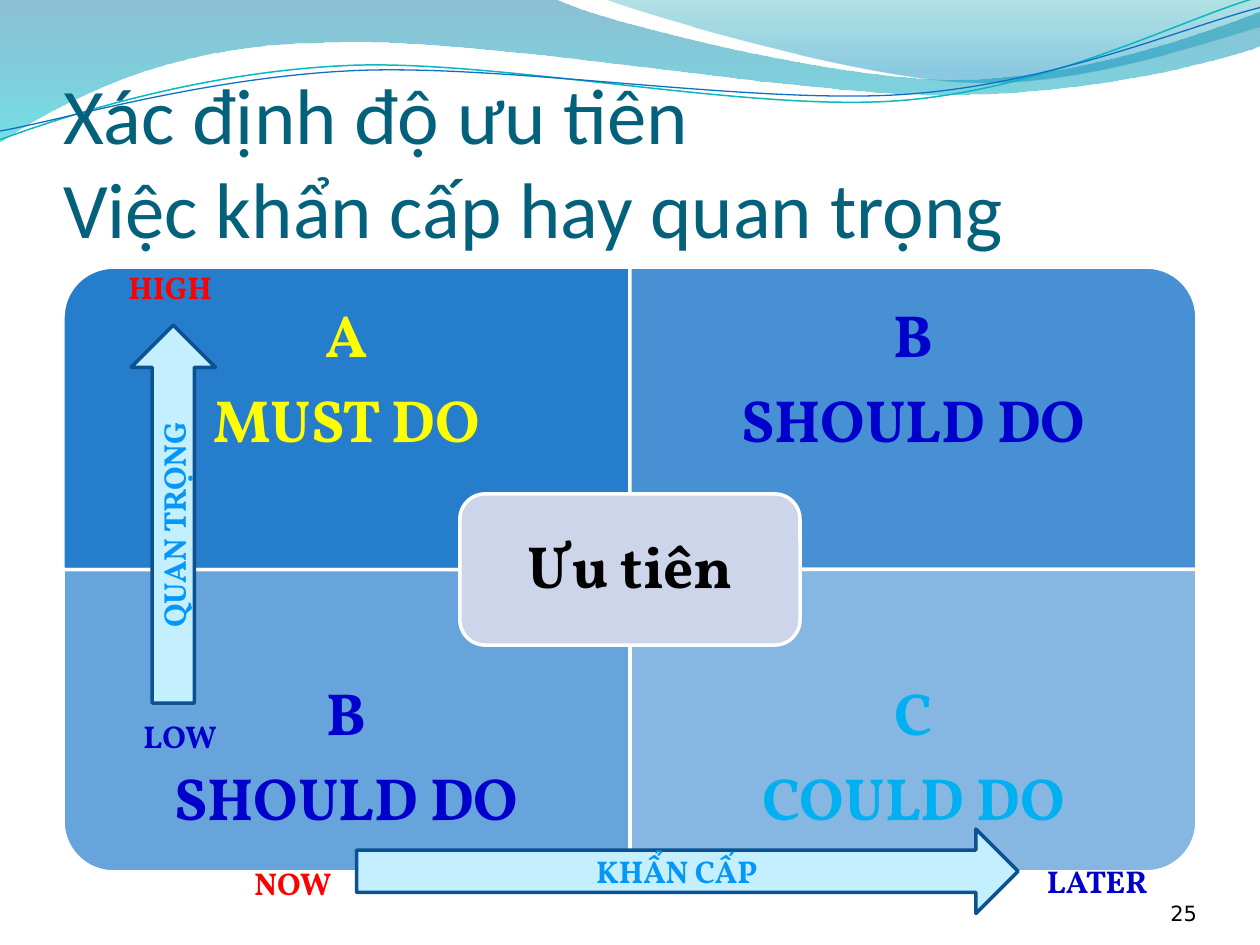
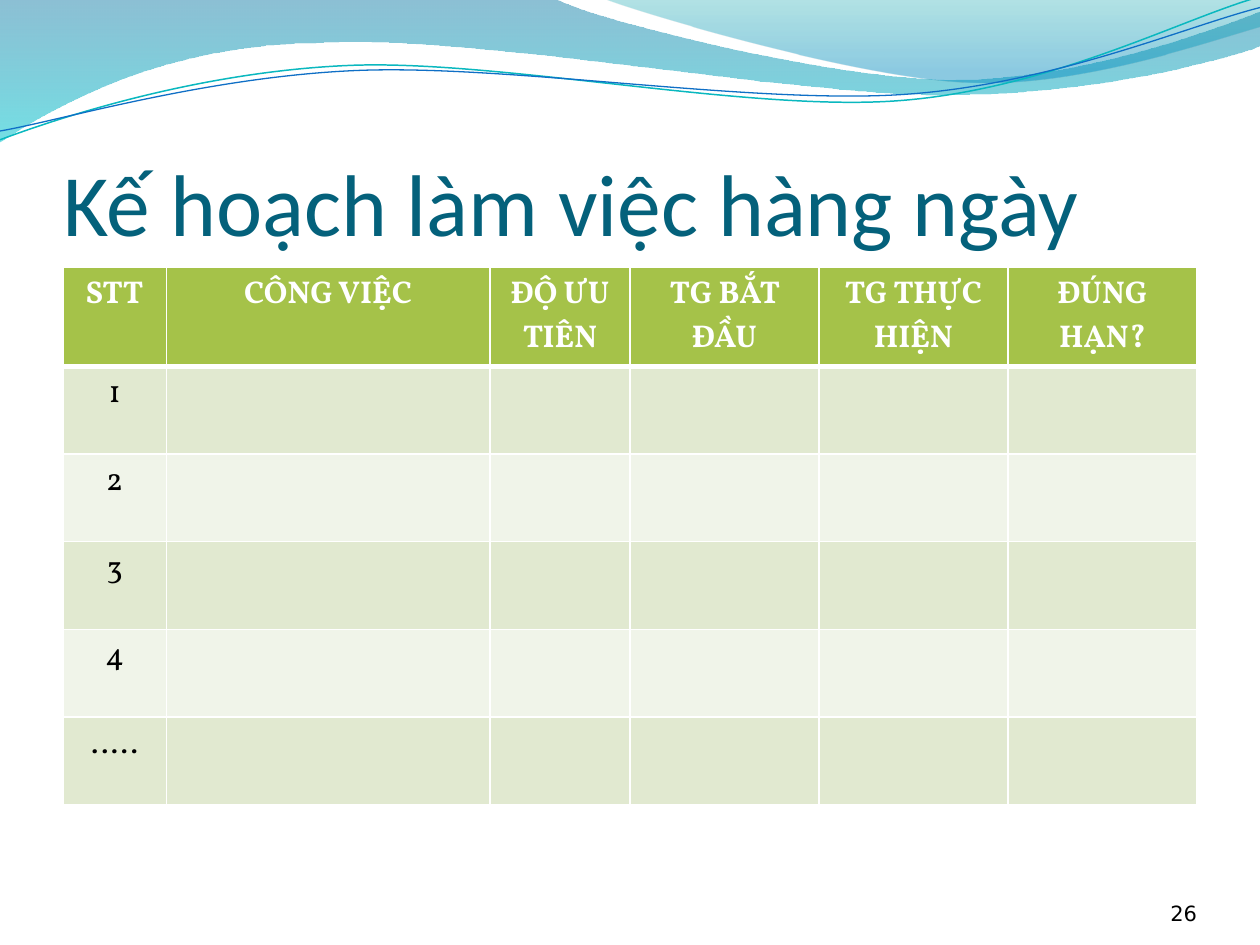
from lxml.etree import SubElement
from pptx import Presentation
from pptx.dml.color import RGBColor
from pptx.enum.shapes import MSO_SHAPE
from pptx.enum.text import MSO_ANCHOR, MSO_AUTO_SIZE, PP_ALIGN
from pptx.oxml.ns import qn
from pptx.util import Inches, Pt

SERIF = "Vollkorn"
WHITE, BLACK, RED, NAVY = "FFFFFF", "000000", "FF0000", "0000CC"
BLUE, TITLE_TEAL, SKY, YELLOW = "0F6FC6", "04617B", "00B0F0", "FFFF00"
ARROW_FILL, ARROW_LINE, ARROW_TEXT = "C4EFFF", "0B5292", "0497F9"
HEADER_GREEN, BANDS = "A5C249", ("E1E9D0", "F0F4E9")
CONTENT_BOX = (0.5, 2.12, 9, 4.8)

LEFT_WAVE = [
    [(0, -0.01)], [(4.4, -0.01)],
    [(4.76, 0.17), (6.64, 0.63), (7.58, 0.63)],
    [(8.53, 0.63), (9.58, 0.26), (10, 0.09)], [(10.01, 0.36)],
    [(9.83, 0.44), (8.7, 0.76), (7.46, 0.75)],
    [(6.22, 0.75), (3.82, 0.28), (2.57, 0.34)],
    [(1.29, 0.35), (0.46, 0.83), (-0.01, 1.13)], [(0, -0.01)],
]
RIGHT_WAVE = [
    [(4.79, -0.01)],
    [(5.09, 0.11), (6.82, 0.62), (7.69, 0.65)],
    [(8.56, 0.69), (9.61, 0.32), (10, 0.21)], [(10, 0)], [(4.79, -0.01)],
]
TEAL_STRAND = [
    [(0, 1.11)],
    [(0.48, 0.93), (1.58, 0.57), (2.77, 0.52)],
    [(3.95, 0.47), (5.93, 0.89), (7.13, 0.8)],
    [(8.33, 0.71), (9.38, 0.15), (9.98, -0.02)],
]
BLUE_STRAND = [
    [(0, 1.04)],
    [(0.47, 0.96), (1.64, 0.61), (2.83, 0.56)],
    [(4.03, 0.51), (5.97, 0.83), (7.17, 0.75)],
    [(8.36, 0.67), (9.41, 0.21), (10, 0.06)],
]
WAVES = [
    (LEFT_WAVE, [(0, "0074A1", 45), (1, "00C6CF", 55)]),
    (RIGHT_WAVE, [(0, "00A1A9", 30), (0.8, "008BBF", 45)]),
]
STRANDS = [(TEAL_STRAND, "0AB8BF", 0.85), (BLUE_STRAND, BLUE, 0.75)]


def rgb(colour):
    """Turn a hex string into a colour."""
    return RGBColor.from_string(colour)


def assign(target, values):
    """Set each named attribute of the target."""
    for name, value in values.items():
        setattr(target, name, value)


def set_opacity(colour_element, percent):
    """Make one colour element partly transparent."""
    SubElement(colour_element, qn("a:alpha"), val=str(percent * 1000))


def style_shape(shape, fill, line, width=2):
    """Give a shape a plain fill and outline without a shadow."""
    shape.shadow.inherit = False
    if fill:
        shape.fill.solid()
        shape.fill.fore_color.rgb = rgb(fill)
    else:
        shape.fill.background()
    shape.line.color.rgb = rgb(line)
    shape.line.width = Pt(width)


def add_span(para, text, size, colour, font, bold):
    """Add formatted text to a paragraph."""
    span = para.add_run()
    span.text = text
    assign(span.font, {"name": font, "size": Pt(size), "bold": bold})
    span.font.color.rgb = rgb(colour)


def write(frame, lines, size, colour, font=SERIF, bold=True, align=PP_ALIGN.LEFT,
          anchor=MSO_ANCHOR.TOP, insets=(0.1, 0.05, 0.1, 0.05), spacing=1.0, gap=0):
    """Fill a text frame with one paragraph per line."""
    sides = ("margin_left", "margin_top", "margin_right", "margin_bottom")
    assign(frame, {"word_wrap": True, "vertical_anchor": anchor,
                   **dict(zip(sides, map(Inches, insets)))})
    for index, line in enumerate(lines):
        para = frame.add_paragraph() if index else frame.paragraphs[0]
        assign(para, {"alignment": align, "line_spacing": spacing,
                      "space_before": Pt(gap if index else 0)})
        for row, part in enumerate(line.splitlines()):
            if row:
                para.add_line_break()
            add_span(para, part, size, colour, font, bold)


def add_text(page, box, lines, size, colour, **layout):
    """Add a text box."""
    frame = page.shapes.add_textbox(*map(Inches, box)).text_frame
    write(frame, lines, size, colour, **layout)


def add_outline(page, segments, close):
    """Add a freeform of straight segments and cubic curves."""
    start, *points = [tuple(map(Inches, point)) for segment in segments
                      for point in segment]
    builder = page.shapes.build_freeform(*start)
    builder.add_line_segments(points, close=close)
    outline = builder.convert_to_shape()
    corners = iter(list(outline.element.iter(qn("a:lnTo"))))
    for segment in segments[1:]:
        first, *others = [next(corners) for _ in segment]
        if others:
            first.tag = qn("a:cubicBezTo")
        for other in others:
            first.append(other[0])
            other.getparent().remove(other)
    return outline


def add_waves(page):
    """Draw the wave band and move it to the layout behind the page."""
    band = []
    for segments, stops in WAVES:
        wave = add_outline(page, segments, True)
        wave.shadow.inherit = False
        wave.fill.gradient()
        wave.fill.gradient_angle = 270
        for stop, (position, colour, _) in zip(wave.fill.gradient_stops, stops):
            stop.position = position
            stop.color.rgb = rgb(colour)
        for element, stop in zip(wave.element.iter(qn("a:srgbClr")), stops):
            set_opacity(element, stop[2])
        wave.line.fill.background()
        band.append(wave)
    for segments, colour, width in STRANDS:
        strand = add_outline(page, segments, False)
        style_shape(strand, None, colour, width)
        band.append(strand)
    for shape in band:
        page.slide_layout.shapes.element.append(shape.element)


def add_page(deck, title_text, title_size, number):
    """Add a page with title and page number."""
    page = deck.slides.add_slide(deck.slide_layouts[5])
    title = page.shapes.title
    assign(title, dict(zip(("left", "top", "width", "height"),
                           map(Inches, (0.5, 0.77, 9, 1.25)))))
    frame = title.text_frame
    frame.auto_size = MSO_AUTO_SIZE.NONE
    write(frame, [title_text], title_size, TITLE_TEAL, font="Calibri", bold=False,
          anchor=MSO_ANCHOR.BOTTOM, insets=(0, 0.05, 0, 0))
    add_text(page, (8.67, 6.95, 0.83, 0.4), [number], 12, BLACK, font="DejaVu Sans",
             bold=False, align=PP_ALIGN.RIGHT, anchor=MSO_ANCHOR.BOTTOM,
             insets=(0, 0, 0, 0))
    return page


def add_turned(page, kind, box, turn):
    """Add a shape that covers the box after being turned."""
    left, top, width, height = box
    across, down = (height, width) if turn % 180 else (width, height)
    place = (left + (width - across) / 2, top + (height - down) / 2, across, down)
    shape = page.shapes.add_shape(kind, *map(Inches, place))
    shape.rotation = turn
    return shape


def add_matrix(page, box):
    """Draw the four priority quadrants and the label in their centre."""
    left, top, width, height = box
    half_width, half_height = width / 2, height / 2
    centred = {"align": PP_ALIGN.CENTER, "anchor": MSO_ANCHOR.MIDDLE, "spacing": 0.9}
    quadrants = [
        ("A", "MUST DO", YELLOW, 90, 270), ("B", "SHOULD DO", NAVY, 77, 0),
        ("B", "SHOULD DO", NAVY, 63, 180), ("C", "COULD DO", SKY, 50, 90),
    ]
    for index, (letter, advice, colour, opacity, turn) in enumerate(quadrants):
        row, column = divmod(index, 2)
        x, y = left + column * half_width, top + row * half_height
        tile = add_turned(page, MSO_SHAPE.ROUND_1_RECTANGLE,
                          (x, y, half_width, half_height), turn)
        style_shape(tile, BLUE, WHITE)
        set_opacity(next(tile.element.iter(qn("a:srgbClr"))), opacity)
        add_text(page, (x, y + row * half_height / 4, half_width, half_height * 0.75),
                 [letter, advice], 34, colour, insets=(0.26,) * 4, gap=12, **centred)
    hub_width, hub_height, inset = width * 0.3, height / 4, 0.06
    x, y = left + (width - hub_width) / 2, top + (height - hub_height) / 2
    hub = add_turned(page, MSO_SHAPE.ROUNDED_RECTANGLE, (x, y, hub_width, hub_height), 0)
    style_shape(hub, "CCD5EA", WHITE)
    add_text(page, (x + inset, y + inset, hub_width - 2 * inset, hub_height - 2 * inset),
             ["Ưu tiên"], 34, BLACK, insets=(0.14,) * 4, **centred)


def add_axes(page, box):
    """Draw the importance and urgency arrows with their end labels."""
    left, top = box[:2]
    arrows = [("QUAN TRỌNG", (0.54, 0.46, 0.67, 3), 270),
              ("KHẨN CẤP", (2.33, 4.46, 5.25, 0.67), 0)]
    for label, (x, y, width, height), turn in arrows:
        arrow = add_turned(page, MSO_SHAPE.RIGHT_ARROW,
                           (left + x, top + y, width, height), turn)
        style_shape(arrow, ARROW_FILL, ARROW_LINE)
        write(arrow.text_frame, [label], 18, ARROW_TEXT,
              align=PP_ALIGN.CENTER, anchor=MSO_ANCHOR.MIDDLE)
    ends = [("NOW", 1.42, 4.69, 0.92, RED), ("LATER", 7.71, 4.67, 1.17, NAVY),
            ("LOW", 0.54, 3.52, 0.92, NAVY), ("HIGH", 0.42, -0.04, 0.92, RED)]
    for label, x, y, width, colour in ends:
        add_text(page, (left + x, top + y, width, 0.4), [label], 18, colour)


def set_borders(cell, widths):
    """Draw white borders of the given widths on a cell."""
    properties = cell._tc.get_or_add_tcPr()
    for side, width in widths.items():
        line = SubElement(properties, qn(f"a:ln{side}"), w=str(Pt(width)))
        SubElement(SubElement(line, qn("a:solidFill")), qn("a:srgbClr"), val=WHITE)


def add_plan(page, box):
    """Draw the daily plan table."""
    headings = ["STT", "CÔNG VIỆC", "ĐỘ ƯU TIÊN", "TG BẮT ĐẦU", "TG THỰC HIỆN",
                "ĐÚNG HẠN?"]
    rows = [headings] + [[number] + [""] * 5 for number in ("1", "2", "3", "4", "…..")]
    table = page.shapes.add_table(len(rows), len(headings), *map(Inches, box)).table
    assign(table, {"first_row": False, "horz_banding": False})
    table.rows[0].height = Inches(0.79)
    for column, width in zip(table.columns, (0.82, 2.57, 1.11, 1.5, 1.5, 1.5)):
        column.width = Inches(width)
    for row_index, row in enumerate(rows):
        is_header = row_index == 0
        for column_index, text in enumerate(row):
            cell = table.cell(row_index, column_index)
            set_borders(cell, {"L": 1, "R": 1, "T": 3 if row_index == 1 else 1,
                               "B": 3 if is_header else 1})
            cell.fill.solid()
            cell.fill.fore_color.rgb = rgb(
                HEADER_GREEN if is_header else BANDS[(row_index - 1) % 2])
            if text:
                write(cell.text_frame, [text], 18, WHITE if is_header else BLACK,
                      bold=is_header, align=PP_ALIGN.CENTER)


def main():
    """Build and save the deck."""
    deck = Presentation()
    assign(deck, {"slide_width": Inches(10), "slide_height": Inches(7.5)})
    priorities = add_page(deck, "Xác định độ ưu tiên\nViệc khẩn cấp hay quan trọng",
                          45, "25")
    add_waves(priorities)
    add_matrix(priorities, CONTENT_BOX)
    add_axes(priorities, CONTENT_BOX)
    plan = add_page(deck, "Kế hoạch làm việc hàng ngày", 50, "26")
    add_plan(plan, (*CONTENT_BOX[:3], 4.17))
    deck.save("out.pptx")


if __name__ == "__main__":
    main()
